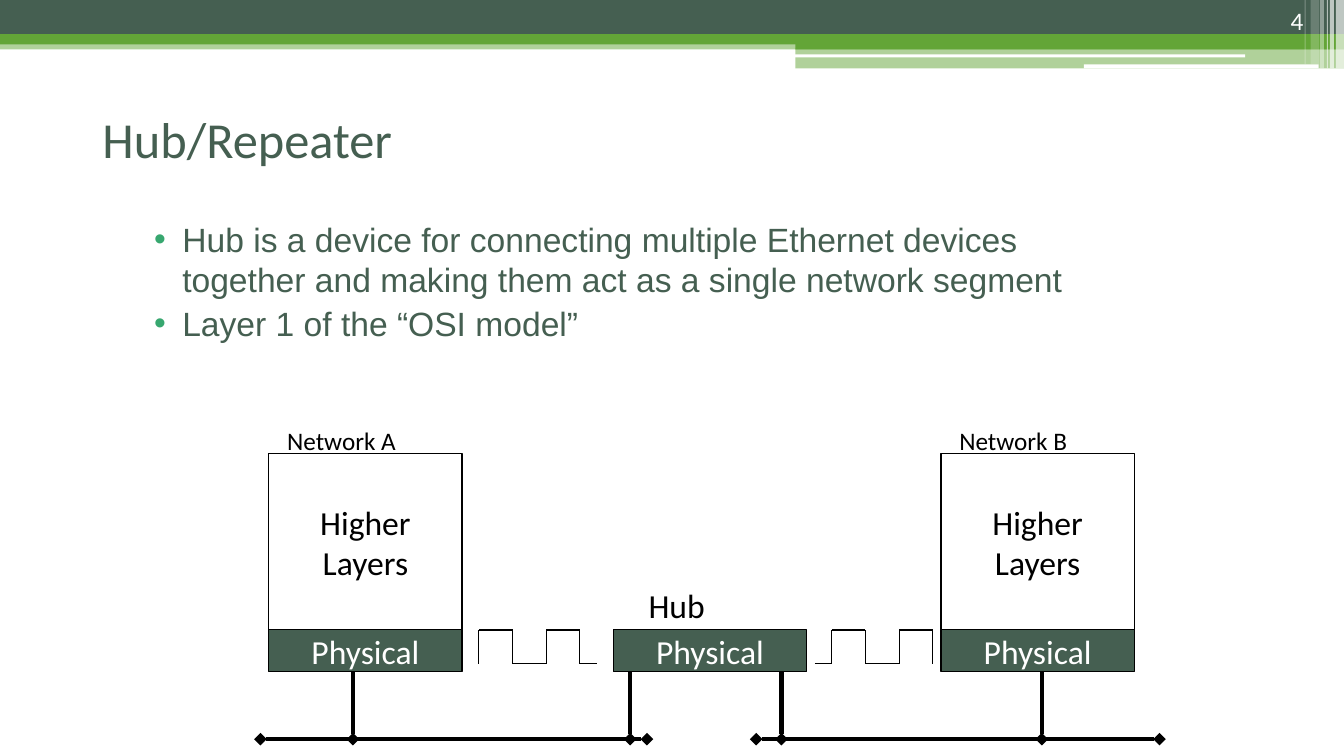
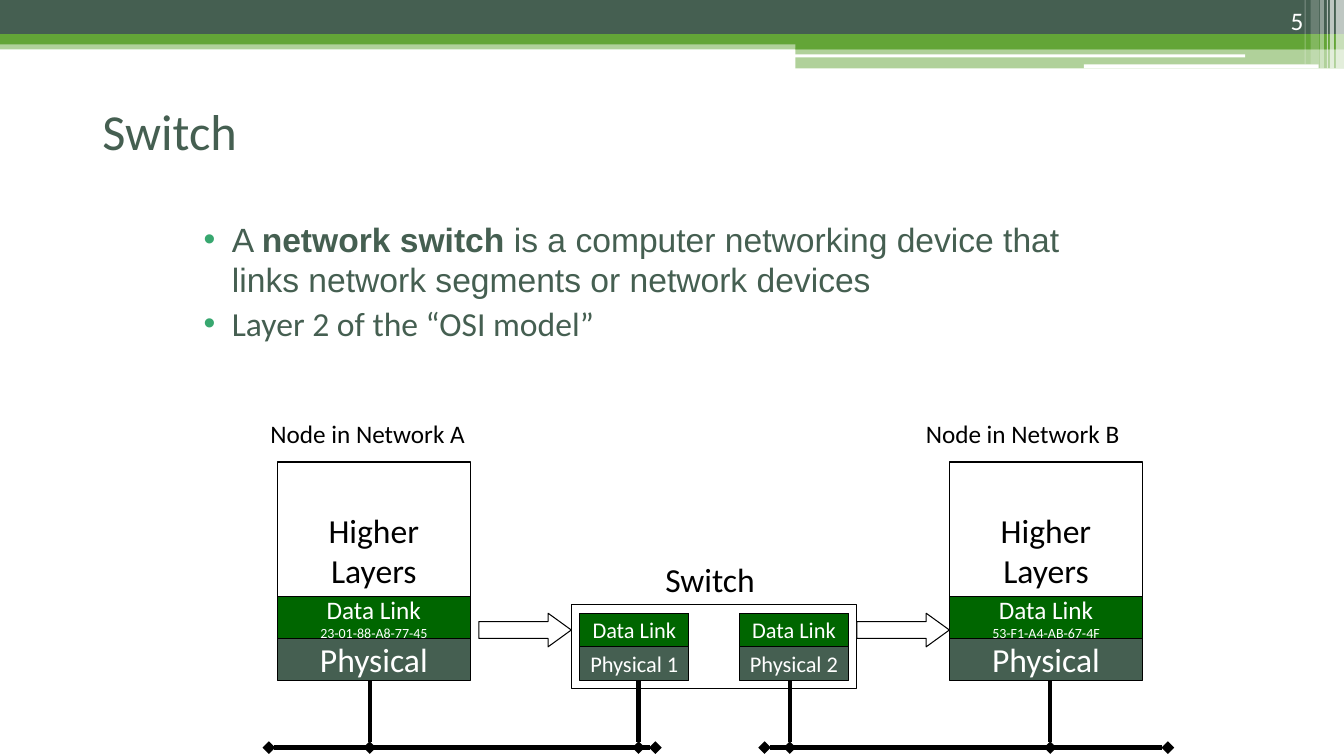
from dataclasses import dataclass
from itertools import pairwise

from lxml.etree import SubElement
from pptx import Presentation
from pptx.dml.color import RGBColor
from pptx.enum.shapes import MSO_CONNECTOR as Connector, MSO_SHAPE as Shape
from pptx.enum.text import MSO_ANCHOR as Anchor, MSO_AUTO_SIZE as AutoSize, PP_ALIGN as Align
from pptx.oxml.ns import qn
from pptx.util import Inches, Pt


@dataclass(frozen=True)
class Theme:
    dark: str = "455F51"
    green: str = "63A537"
    link: str = "006600"
    bullet: str = "37A76F"
    black: str = "000000"
    white: str = "FFFFFF"
    heading_font: str = "Calibri"
    body_font: str = "Arial"
    title: int = 36
    text: int = 24
    label: int = 18
    port: int = 16
    address: int = 10
    thin: float = 0.75
    thick: float = 3


THEME = Theme()
CELLS_PER_INCH = 12
STACK_WIDTH, HIGHER_ROWS, LAYER_ROWS = 23, 21, 5
STACK_GAP = 80

# left, top, width, height in inches, colour, opacity in percent
BANDS = [
    (0, 0.4, 13.33, 0.09, THEME.green, 50),
    (0, 0, 13.33, 0.34, THEME.dark, 100),
    (0, 0.34, 13.33, 0.1, THEME.green, 100),
    (7.89, 0.39, 5.44, 0.1, THEME.green, 100),
    (7.89, 0.48, 5.44, 0.2, THEME.green, 50),
    (7.88, 0.54, 4.47, 0.03, THEME.white, 100),
    (10.75, 0.64, 2.33, 0.04, THEME.white, 100),
    (13.25, 0, 0.08, 0.68, THEME.white, 65),
    (13.19, 0, 0.04, 0.68, THEME.white, 65),
    (13.16, 0, 0.01, 0.68, THEME.white, 60),
    (13.09, 0, 0.04, 0.68, THEME.white, 40),
    (13, 0, 0.08, 0.64, THEME.white, 20),
    (12.94, 0, 0.01, 0.64, THEME.white, 30),
]


def cells(*counts):
    """Turn grid columns or rows into lengths."""
    return [Inches(count / CELLS_PER_INCH) for count in counts]


def style(font, size, color, name=THEME.heading_font):
    font.size, font.name = Pt(size), name
    font.color.rgb = RGBColor.from_string(color)


def write(frame, lines, color, align):
    """Write (text, size) lines, one to a paragraph."""
    for index, (text, size) in enumerate(lines):
        para = frame.add_paragraph() if index else frame.paragraphs[0]
        para.text, para.alignment = text, align
        style(para.font, size, color)


def add_bands(slide, layout):
    """Put the header bands on the layout, behind its placeholders."""
    for index, (*area, color, opacity) in enumerate(BANDS):
        band = slide.shapes.add_shape(Shape.RECTANGLE, *map(Inches, area))
        band.shadow.inherit = False
        band.name = f"Band {index + 1}"
        band.line.fill.background()
        band.fill.solid()
        band.fill.fore_color.rgb = RGBColor.from_string(color)
        if opacity < 100:
            tint = band.element.spPr.find(".//" + qn("a:srgbClr"))
            SubElement(tint, qn("a:alpha"), val=str(opacity * 1000))
        band.element.nvSpPr.cNvPr.set("id", str(20 + index))
        layout.shapes.element.insert(2 + index, band.element)


def add_box(slide, area, lines=(), fill=None, color=THEME.white, kind=Shape.RECTANGLE):
    box = slide.shapes.add_shape(kind, *cells(*area))
    box.shadow.inherit = False
    box.line.width = Pt(THEME.thin)
    box.line.color.rgb = RGBColor.from_string(THEME.black)
    if fill:
        box.fill.solid()
        box.fill.fore_color.rgb = RGBColor.from_string(fill)
    else:
        box.fill.background()
    if lines:
        frame = box.text_frame
        frame.word_wrap, frame.vertical_anchor = False, Anchor.MIDDLE
        write(frame, lines, color, Align.CENTER)
    return box


def add_label(slide, area, text, size, color=THEME.black, align=Align.LEFT, anchor=Anchor.TOP):
    frame = slide.shapes.add_textbox(*cells(*area)).text_frame
    frame.word_wrap, frame.vertical_anchor = align == Align.RIGHT, anchor
    write(frame, [(text, size)], color, align)


def add_line(slide, start, end, width=THEME.thin, ends=()):
    """Draw a line with diamonds at the given ends (headEnd, tailEnd)."""
    line = slide.shapes.add_connector(Connector.STRAIGHT, *cells(*start, *end))
    line.line.width = Pt(width)
    line.line.color.rgb = RGBColor.from_string(THEME.black)
    properties = line.element.spPr
    for end_name in ends:
        SubElement(properties.find(qn("a:ln")), qn(f"a:{end_name}"), type="diamond")
    SubElement(properties, qn("a:effectLst"))


def add_pulse(slide, points):
    for start, end in pairwise(points):
        add_line(slide, start, end)


def add_arrow(slide, left):
    arrow = add_box(slide, (left, 73, 11, 4), fill=THEME.white, kind=Shape.RIGHT_ARROW)
    arrow.adjustments[0], arrow.adjustments[1] = 0.5, 0.69


def add_stacks(slide, left, top):
    """Draw the layer stacks of both networks."""
    for column in (left, left + STACK_GAP):
        add_box(slide, (column, top, STACK_WIDTH, HIGHER_ROWS),
                [("Higher", THEME.text), ("Layers", THEME.text)], color=THEME.black)
        add_box(slide, (column, top + HIGHER_ROWS, STACK_WIDTH, LAYER_ROWS),
                [("Physical", THEME.text)], THEME.dark)


def add_cables(slide, left, top, first_drop):
    """Draw both buses and the drops that reach them."""
    bus = top + 34
    for start, end in ((-1, 45), (58, 106)):
        add_line(slide, (left + start, bus), (left + end, bus), THEME.thick,
                 ("headEnd", "tailEnd"))
    for drop in (first_drop, 43, 61, 92):
        add_line(slide, (left + drop, top + HIGHER_ROWS + LAYER_ROWS), (left + drop, bus),
                 THEME.thick, ("tailEnd",))


def place(holder, area):
    holder.left, holder.top, holder.width, holder.height = cells(*area)
    holder.text_frame.auto_size = AutoSize.NONE


def fill_page(slide, number, title, title_top, body_area, bullets):
    """Fill title, list and page number; a bullet is (font name, (text, bold) spans)."""
    place(slide.shapes.title, (11, title_top, 102, 15))
    title_frame = slide.shapes.title.text_frame
    title_frame.vertical_anchor = Anchor.MIDDLE
    write(title_frame, [(title, THEME.title)], THEME.dark, Align.LEFT)

    body = slide.placeholders[1]
    place(body, body_area)
    for index, (font_name, spans) in enumerate(bullets):
        frame = body.text_frame
        para = frame.add_paragraph() if index else frame.paragraphs[0]
        para.space_before = Pt(3)
        for text, bold in spans:
            span = para.add_run()
            span.text = text
            if bold:
                span.font.bold = True
        properties = para._p.get_or_add_pPr()
        properties.set("marL", str(Inches(0.4)))
        properties.set("indent", str(Inches(-0.28)))
        SubElement(SubElement(properties, qn("a:buClr")), qn("a:srgbClr"), val=THEME.bullet)
        SubElement(properties, qn("a:buChar"), char="•")
        style(para.font, THEME.text, THEME.dark, font_name)

    add_label(slide, (143, 0, 13.3, 4.8), str(number), THEME.label, THEME.white,
              Align.RIGHT, Anchor.BOTTOM)


def build_hub(slide):
    fill_page(slide, 4, "Hub/Repeater", 9, (15.7, 25.4, 120, 54), [
        (THEME.body_font, [("Hub is a device for connecting multiple Ethernet devices together "
                            "and making them act as a single network segment", False)]),
        (THEME.body_font, [("Layer 1 of the “OSI model”", False)]),
    ])
    left, top = 32, 54
    high, low = 75, 79
    wave = [(0, low), (0, high), (4, high), (4, low), (8, low), (8, high), (12, high), (12, low)]
    add_pulse(slide, [(57 + x, y) for x, y in wave + [(14, low)]])
    add_pulse(slide, [(99 + x, y) for x, y in [(-2, low)] + wave])
    add_stacks(slide, left, top)
    add_box(slide, (73, high, STACK_WIDTH, LAYER_ROWS), [("Physical", THEME.text)], THEME.dark)
    add_label(slide, (76, 69, 9.2, 6), "Hub", THEME.text)
    add_cables(slide, left, top, first_drop=10)
    for column, name in ((33, "A"), (113, "B")):
        add_label(slide, (column, 50, 15.4, 4.8), f"Network {name}", THEME.label)


def build_switch(slide):
    fill_page(slide, 5, "Switch", 8, (21.6, 25.4, 113, 54), [
        (THEME.body_font, [("A ", False), ("network switch", True),
                           (" is a computer networking device that links network segments "
                            "or network devices", False)]),
        (THEME.heading_font, [("Layer 2 of the “OSI model”", False)]),
    ])
    left, top = 33, 55
    add_box(slide, (68, 72, 34, 10), fill=THEME.white)
    add_label(slide, (78, 66, 13.2, 6), "Switch", THEME.text)
    add_stacks(slide, left, top)
    add_cables(slide, left, top, first_drop=11)
    for port, column in enumerate((69, 88), start=1):
        add_box(slide, (column, 77, 13, 4), [(f"Physical {port}", THEME.port)], THEME.dark)
        add_box(slide, (column, 73, 13, 4), [("Data Link", THEME.port)], THEME.link)
    for column, address in ((left, "23-01-88-A8-77-45"), (left + STACK_GAP, "53-F1-A4-AB-67-4F")):
        add_box(slide, (column, top + HIGHER_ROWS - LAYER_ROWS, STACK_WIDTH, LAYER_ROWS),
                [("Data Link", THEME.label), (address, THEME.address)], THEME.link)
    for column in (57, 102):
        add_arrow(slide, column)
    for column, name in ((31, "A"), (109, "B")):
        add_label(slide, (column, 49.2, 25.8, 4.8), f"Node in Network {name}", THEME.label)


def main():
    deck = Presentation()
    deck.slide_width, deck.slide_height = Inches(13.33), Inches(7.5)
    layout = deck.slide_layouts[1]
    hub, switch = (deck.slides.add_slide(layout) for _ in range(2))
    add_bands(hub, layout)
    build_hub(hub)
    build_switch(switch)
    deck.save("out.pptx")


if __name__ == "__main__":
    main()
